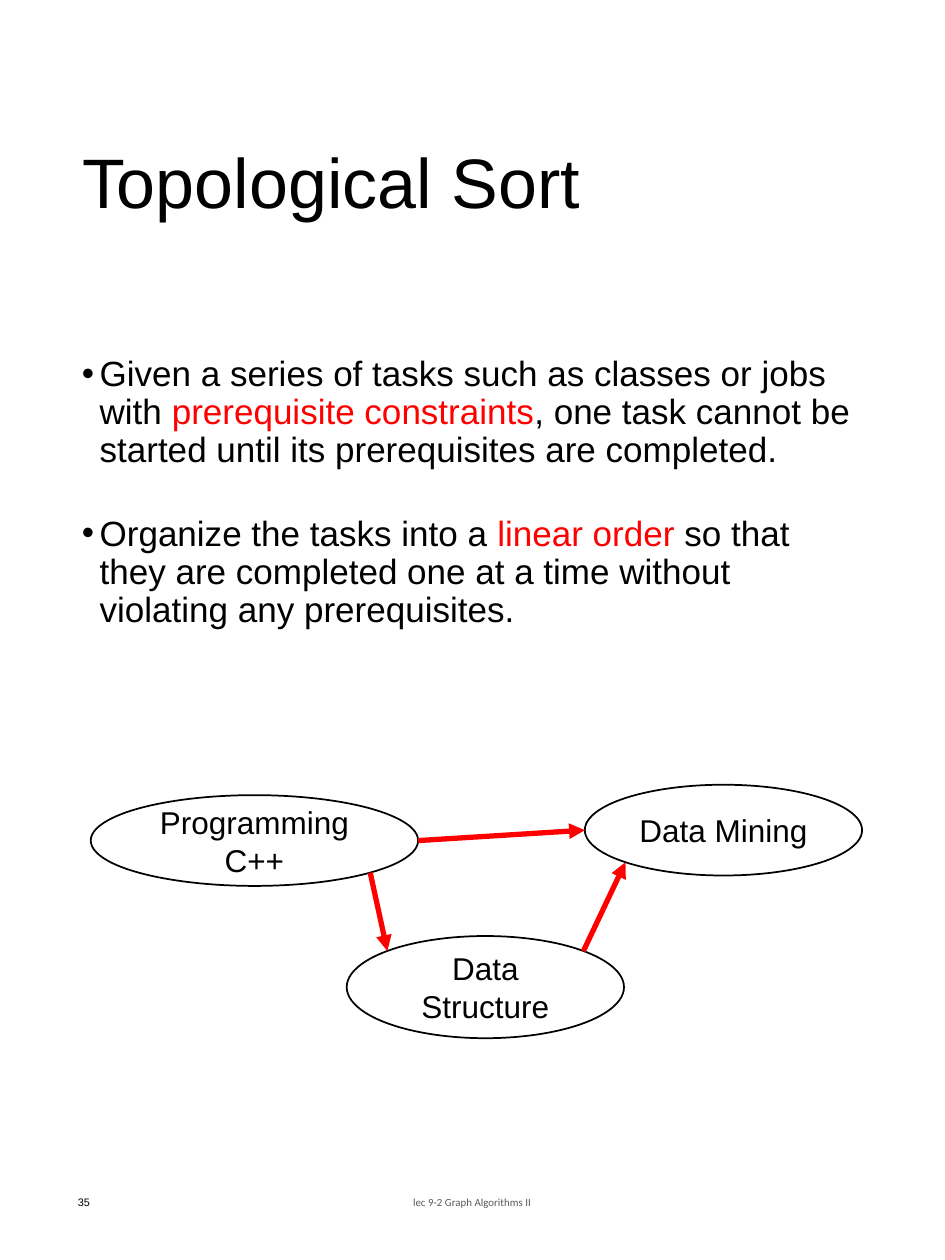
from math import cos, radians, sin

from lxml.etree import SubElement
from pptx import Presentation
from pptx.dml.color import RGBColor
from pptx.enum.shapes import MSO_CONNECTOR, MSO_SHAPE
from pptx.enum.text import MSO_ANCHOR, MSO_AUTO_SIZE, PP_ALIGN
from pptx.oxml.ns import qn
from pptx.util import Cm, Pt

BLACK, RED, WHITE, GREY = "000000", "FF0000", "FFFFFF", "595959"


def color(hex_code):
    return RGBColor.from_string(hex_code)


def add_run(paragraph, text, size, hex_code=BLACK, font="Arial"):
    run = paragraph.add_run()
    run.text = text
    run.font.size = Pt(size)
    run.font.name = font
    run.font.color.rgb = color(hex_code)


def add_title(slide, box, text):
    title = slide.shapes.title
    title.left, title.top, title.width, title.height = map(Cm, box)
    frame = title.text_frame
    frame.auto_size = MSO_AUTO_SIZE.NONE
    frame.vertical_anchor = MSO_ANCHOR.MIDDLE
    paragraph = frame.paragraphs[0]
    paragraph.alignment = PP_ALIGN.LEFT
    paragraph.line_spacing = 0.9
    add_run(paragraph, text, 40)


def add_bullets(slide, box, bullets):
    frame = slide.shapes.add_textbox(*map(Cm, box)).text_frame
    frame.word_wrap = True
    for index, runs in enumerate(bullets):
        paragraph = frame.add_paragraph() if index else frame.paragraphs[0]
        # Hanging bullet
        properties = paragraph._p.get_or_add_pPr()
        properties.set("marL", str(Cm(0.36)))
        properties.set("indent", str(Cm(-0.36)))
        SubElement(properties, qn("a:buFont")).set("typeface", "Arial")
        SubElement(properties, qn("a:buChar")).set("char", "•")
        paragraph.line_spacing = 0.9
        if index:
            paragraph.space_before = Pt(26.5)
        for text, hex_code in runs:
            add_run(paragraph, text, 20, hex_code)


def add_task(slide, box, name):
    task = slide.shapes.add_shape(MSO_SHAPE.OVAL, *map(Cm, box))
    task.shadow.inherit = False
    task.fill.solid()
    task.fill.fore_color.rgb = color(WHITE)
    task.line.color.rgb = color(BLACK)
    task.line.width = Pt(1)
    frame = task.text_frame
    frame.word_wrap = True
    frame.vertical_anchor = MSO_ANCHOR.MIDDLE
    frame.paragraphs[0].alignment = PP_ALIGN.CENTER
    add_run(frame.paragraphs[0], name, 18)


def rim_point(box, degrees):
    """Point on the rim of an oval, clockwise from its right end."""
    left, top, width, height = box
    angle = radians(degrees)
    return (Cm(left + width / 2 * (1 + cos(angle))),
            Cm(top + height / 2 * (1 + sin(angle))))


def add_arrow(slide, start, end):
    arrow = slide.shapes.add_connector(MSO_CONNECTOR.STRAIGHT, *start, *end)
    arrow.line.color.rgb = color(RED)
    arrow.line.width = Pt(3)
    SubElement(arrow.line._get_or_add_ln(), qn("a:tailEnd")).set("type", "triangle")
    SubElement(arrow._element.spPr, qn("a:effectLst"))


def add_task_graph(slide, box):
    left, top, width, height = box
    oval_width, oval_height = 5.59, 1.83
    tasks = {
        "Programming C++": (left, top + 0.21, 6.6, oval_height),
        "Data Mining": (left + width - oval_width, top, oval_width, oval_height),
        "Data Structure": (left + 5.16, top + height - 2.06, oval_width, 2.06),
    }
    for name, task_box in tasks.items():
        add_task(slide, task_box, name)

    # Prerequisite arrows: task and rim angle at both ends
    for before, leaving, after, arriving in (
        ("Programming C++", 45, "Data Structure", 225),
        ("Programming C++", 0, "Data Mining", 180),
        ("Data Structure", 315, "Data Mining", 135),
    ):
        add_arrow(slide, rim_point(tasks[before], leaving),
                  rim_point(tasks[after], arriving))


def add_footer_text(slide, box, text, alignment, hex_code, font):
    frame = slide.shapes.add_textbox(*map(Cm, box)).text_frame
    frame.word_wrap = True
    frame.vertical_anchor = MSO_ANCHOR.MIDDLE
    frame.paragraphs[0].alignment = alignment
    add_run(frame.paragraphs[0], text, 6.2, hex_code, font)


def main():
    presentation = Presentation()
    presentation.slide_width, presentation.slide_height = Cm(19.05), Cm(25.4)
    slide = presentation.slides.add_slide(presentation.slide_layouts[5])

    add_title(slide, (1.4, 1.3, 16.43, 4.9), "Topological Sort")
    add_bullets(slide, (1.4, 7.06, 16.1, 8), [
        [("Given a series of tasks such as classes or jobs with ", BLACK),
         ("prerequisite constraints", RED),
         (", one task cannot be started until its prerequisites are completed.", BLACK)],
        [("Organize the tasks into a ", BLACK),
         ("linear order ", RED),
         ("so that they are completed one at a time without violating any "
          "prerequisites.", BLACK)],
    ])
    add_task_graph(slide, (1.83, 15.82, 15.55, 5.11))

    # Slide number and footer
    add_footer_text(slide, (1.32, 23.55, 4.29, 1.35), "35",
                    PP_ALIGN.LEFT, BLACK, "Arial")
    add_footer_text(slide, (6.3, 23.55, 6.43, 1.35), "lec 9-2 Graph Algorithms II",
                    PP_ALIGN.CENTER, GREY, "Calibri")
    presentation.save("out.pptx")


if __name__ == "__main__":
    main()
